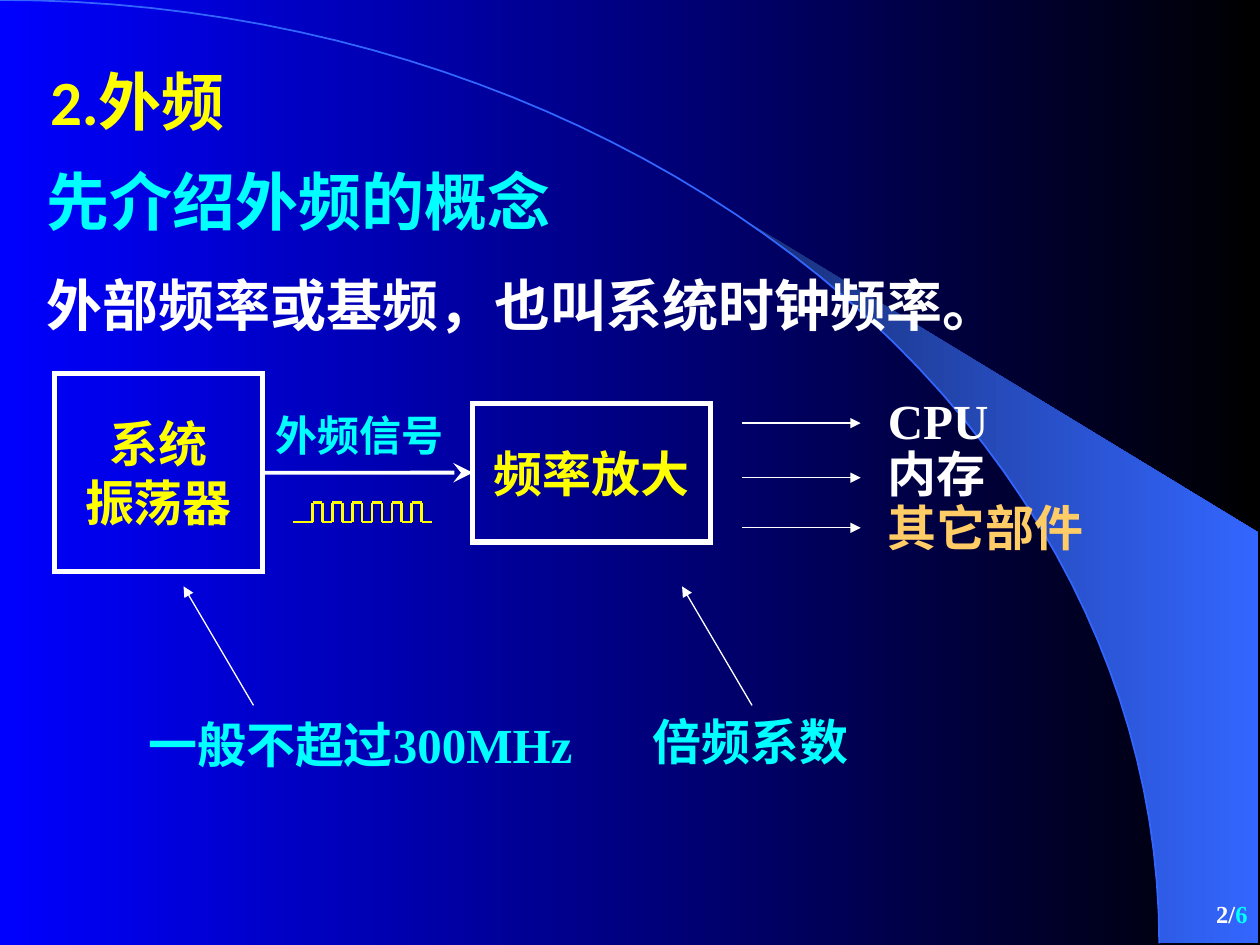
"""Builds the slide on external frequency: oscillator, amplifier and outputs."""
from itertools import pairwise
from math import asin, cos, pi, sin

from lxml.etree import SubElement
from pptx import Presentation
from pptx.dml.color import RGBColor
from pptx.enum.shapes import MSO_CONNECTOR, MSO_SHAPE
from pptx.enum.text import MSO_ANCHOR, MSO_AUTO_SIZE, PP_ALIGN
from pptx.oxml.ns import qn
from pptx.util import Cm, Pt

BLUE = RGBColor(0x00, 0x00, 0xFF)
BLACK = RGBColor(0x00, 0x00, 0x00)
NAVY = RGBColor(0x18, 0x2F, 0x76)
SKY = RGBColor(0x33, 0x66, 0xFF)
WHITE = RGBColor(0xFF, 0xFF, 0xFF)
CYAN = RGBColor(0x00, 0xFF, 0xFF)
YELLOW = RGBColor(0xFF, 0xFF, 0x00)
ORANGE = RGBColor(0xFF, 0xCC, 0x66)

ROMAN = "Times New Roman"
HAN = "Noto Sans CJK SC"
WIDE, HIGH = 25.4, 19.05
ARC_W, ARC_H = 23.37, 19.02


def put(item, values):
    for name, value in values.items():
        setattr(item, name, value)


def blend(fill, start, end):
    fill.gradient()
    fill.gradient_angle = 0
    for stop, color in zip(fill.gradient_stops, (start, end)):
        stop.color.rgb = color


def stroke(line, color, width):
    line.color.rgb = color
    line.width = Pt(width)


def arc(start, steps=48):
    angles = [start + (pi / 2 - start) * i / steps for i in range(steps + 1)]
    return [(ARC_W * sin(t), ARC_H * (1 - cos(t))) for t in angles]


def outline(slide, points, close):
    spots = [(Cm(x), Cm(y)) for x, y in points]
    builder = slide.shapes.build_freeform(*spots[0])
    builder.add_line_segments(spots[1:], close=close)
    shape = builder.convert_to_shape()
    shape.shadow.inherit = False
    return shape


def backdrop(slide):
    blend(slide.background.fill, BLUE, BLACK)
    edge = [(25.37, 19.02), (25.37, 10.74)]
    beam = outline(slide, arc(asin(0.64)) + edge, True)
    blend(beam.fill, NAVY, SKY)
    beam.line.fill.background()
    curve = outline(slide, arc(0), False)
    curve.fill.background()
    stroke(curve.line, SKY, 1)


def write(par, text, color, size, font=ROMAN):
    run = par.add_run()
    run.text = text
    put(run.font, {"name": font, "size": Pt(size), "bold": True})
    run.font.color.rgb = color
    SubElement(run.font._element, qn("a:ea")).set("typeface", HAN)


def label(slide, place, text, color, size=28, font=ROMAN, wrap=False, gap=1.0):
    frame = slide.shapes.add_textbox(*map(Cm, place)).text_frame
    put(frame, {"word_wrap": wrap, "auto_size": MSO_AUTO_SIZE.SHAPE_TO_FIT_TEXT})
    par = frame.paragraphs[0]
    par.line_spacing = gap
    write(par, text, color, size, font)


def block(slide, place, lines):
    shape = slide.shapes.add_shape(MSO_SHAPE.RECTANGLE, *map(Cm, place))
    shape.shadow.inherit = False
    shape.fill.background()
    stroke(shape.line, WHITE, 3)
    SubElement(shape.get_or_add_ln(), qn("a:miter")).set("lim", "800000")
    frame = shape.text_frame
    put(frame, {"word_wrap": False, "vertical_anchor": MSO_ANCHOR.MIDDLE})
    for i, text in enumerate(lines):
        par = frame.add_paragraph() if i else frame.paragraphs[0]
        par.alignment = PP_ALIGN.CENTER
        write(par, text, YELLOW, 28)
    return shape


def link(slide, start, end, color=WHITE, width=0.75, head=None, size="med"):
    line = slide.shapes.add_connector(
        MSO_CONNECTOR.STRAIGHT, *map(Cm, (*start, *end)))
    stroke(line.line, color, width)
    if head:
        tail = SubElement(line.get_or_add_ln(), qn("a:tailEnd"))
        for name, value in {"type": head, "w": size, "len": size}.items():
            tail.set(name, value)
    SubElement(line._element.spPr, qn("a:effectLst"))
    return line


def wave(slide, left, top, base, step, count):
    points = [(left - 2 * step, base), (left, base)]
    for i in range(count):
        x = left + 2 * step * i
        points += [(x, top), (x + step, top), (x + step, base), (x + 2 * step, base)]
    for start, end in pairwise(points):
        link(slide, start, end, YELLOW, 1.5)


def number(slide):
    box = slide.shapes.add_textbox(Cm(20.12), Cm(17.78), Cm(5.28), Cm(1.27))
    put(box.text_frame, {"word_wrap": True, "vertical_anchor": MSO_ANCHOR.MIDDLE})
    par = box.text_frame.paragraphs[0]
    par.alignment = PP_ALIGN.RIGHT
    write(par, "2/", WHITE, 14)
    write(par, "6", CYAN, 14)


def main():
    deck = Presentation()
    put(deck, {"slide_width": Cm(WIDE), "slide_height": Cm(HIGH)})
    slide = deck.slides.add_slide(deck.slide_layouts[6])
    backdrop(slide)

    label(slide, (0.76, 0.84, 24.13, 2.08), "2.外频", YELLOW, 36, "Calibri", True, 1.2)
    label(slide, (0.69, 3.45, 13, 1.47), "先介绍外频的概念", CYAN, 36, HAN, True, 0.8)
    label(slide, (0.69, 5.33, 20.8, 1.63), "外部频率或基频，也叫系统时钟频率。",
          WHITE, 32, wrap=True)

    clock = block(slide, (1.1, 7.53, 4.19, 4), ["系统", "振荡器"])
    boost = block(slide, (9.53, 8.13, 4.8, 2.8), ["频率放大"])
    signal = link(slide, (5.29, 9.53), (9.53, 9.53), WHITE, 2.25, "stealth", "lg")
    signal.begin_connect(clock, 3)
    signal.end_connect(boost, 1)
    label(slide, (5.31, 8.13, 3.89, 1.27), "外频信号", CYAN, 24)
    wave(slide, 6.3, 10.13, 10.52, 0.2, 6)

    outputs = [
        ("CPU", WHITE, 8.53, 7.75, 2.54),
        ("内存", WHITE, 9.63, 8.81, 2.7),
        ("其它部件", ORANGE, 10.64, 9.91, 4.5),
    ]
    for text, color, mid, top, width in outputs:
        link(slide, (14.96, mid), (17.35, mid), head="triangle")
        label(slide, (17.65, top, width, 1.45), text, color)

    notes = [
        ("一般不超过300MHz", 5.11, 3.7, 2.74, 14.27, 9.3),
        ("倍频系数", 15.16, 13.75, 12.9, 14.22, 4.5),
    ]
    for text, foot, tip, left, top, width in notes:
        link(slide, (foot, 14.22), (tip, 11.82), head="triangle")
        label(slide, (left, top, width, 1.45), text, CYAN)

    number(slide)
    deck.save("out.pptx")


if __name__ == "__main__":
    main()
